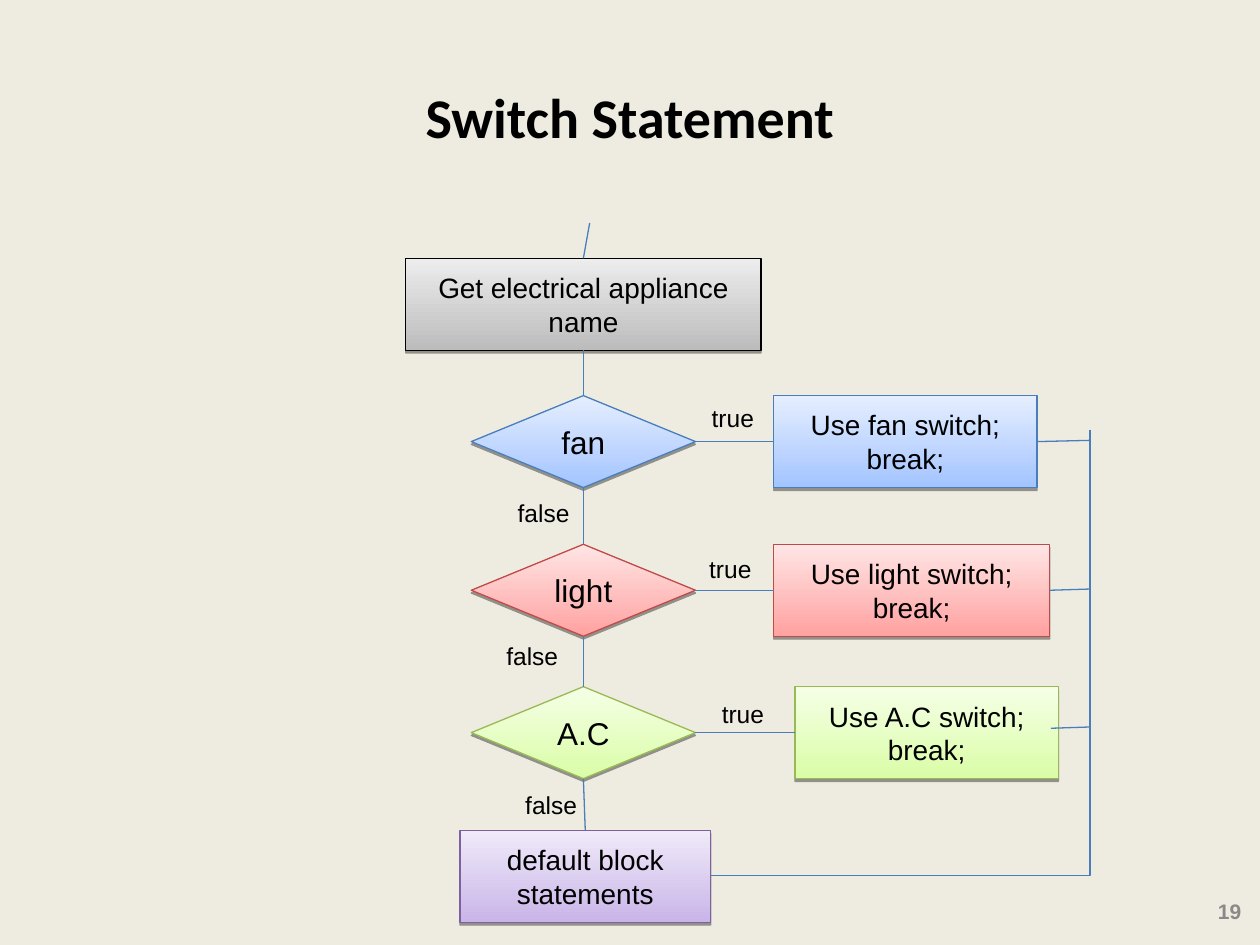
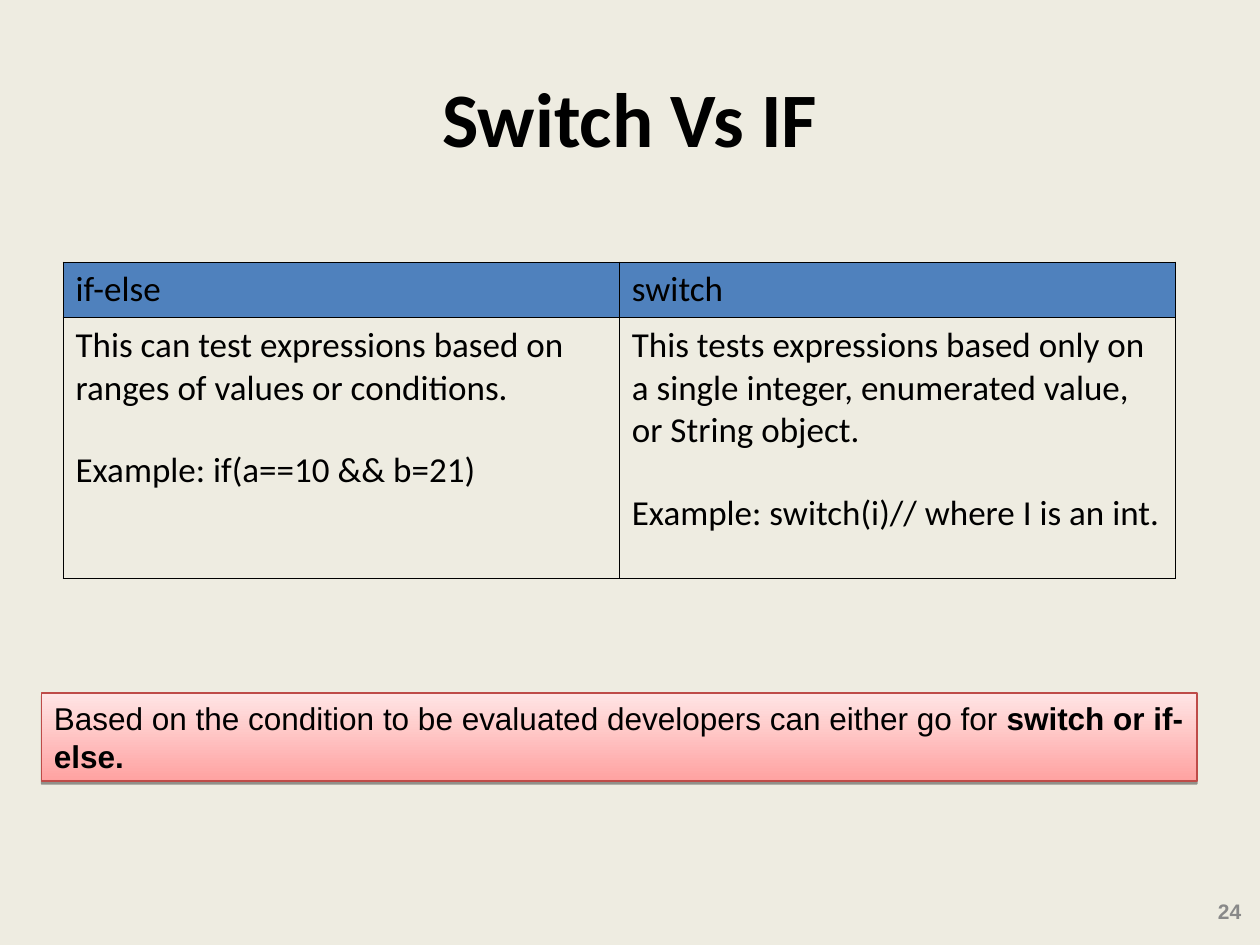
from pptx import Presentation
from pptx.util import Inches, Pt
from pptx.dml.color import RGBColor
from pptx.enum.shapes import MSO_CONNECTOR, MSO_SHAPE
from pptx.enum.text import MSO_ANCHOR, PP_ALIGN
from pptx.oxml.ns import qn
from lxml.etree import SubElement

# Colours: each tone is (gradient bottom, gradient top, outline)
PAPER = RGBColor(0xEE, 0xEC, 0xE1)
BLACK = RGBColor(0, 0, 0)
MUTED = RGBColor(0x89, 0x89, 0x89)
WIRE = RGBColor(0x4A, 0x7E, 0xBB)
HEAD = RGBColor(0x4F, 0x81, 0xBD)
GREY = (RGBColor(0xBC, 0xBC, 0xBC), RGBColor(0xED, 0xED, 0xED), BLACK)
BLUE = (RGBColor(0xA3, 0xC4, 0xFF), RGBColor(0xE5, 0xEE, 0xFF), WIRE)
RED = (RGBColor(0xFF, 0xA2, 0xA1), RGBColor(0xFF, 0xE5, 0xE5),
       RGBColor(0xBE, 0x4B, 0x48))
GREEN = (RGBColor(0xDA, 0xFD, 0xA7), RGBColor(0xF5, 0xFF, 0xE6),
         RGBColor(0x98, 0xB9, 0x54))
PLUM = (RGBColor(0xC9, 0xB5, 0xE8), RGBColor(0xF0, 0xEA, 0xF9),
        RGBColor(0x7D, 0x60, 0xA0))

# Content of the flow chart
START = "Get electrical appliance name"
LAST = "default block statements"
# test, action, tone, top, action left and width, "true" place, "false" place
CASES = [
    ("fan", "Use fan switch;", BLUE, 3.14, 6.14, 2.09, (5.55, 3.15), (4.01, 3.9)),
    ("light", "Use light switch;", RED, 4.32, 6.14, 2.19, (5.53, 4.35), (3.92, 5.04)),
    ("A.C", "Use A.C switch;", GREEN, 5.45, 6.31, 2.09, (5.63, 5.5), (4.07, 6.22)),
]
MID, TALL, WIDE = 4.63, 0.73, 1.78
RAIL, RISE, FALL, EXIT = 8.65, 3.41, 6.95, 5.64

# Content of the comparison
GRID = [
    [["if-else"], ["switch"]],
    [["This can test expressions based on ranges of values or conditions.",
      "Example: if(a==10 && b=21)"],
     ["This tests expressions based only on a single integer, "
      "enumerated value, or String object.",
      "Example: switch(i)// where I is an int."]],
]
ROWS = [0.44, 2.07]
NOTE = [("Based on the condition to be evaluated developers can either go for ", False),
        ("switch or if-else.", True)]


def write(frame, paras, size=16, font="Arial", color=BLACK, bold=False,
          align=PP_ALIGN.LEFT, gap=0):
    """Fill a frame; a paragraph is a string or a list of (text, bold)."""
    for i, para in enumerate(paras):
        p = frame.paragraphs[0] if i == 0 else frame.add_paragraph()
        p.alignment = align
        if i and gap:
            p.space_before = Pt(gap)
        for text, heavy in [(para, bold)] if isinstance(para, str) else para:
            run = p.add_run()
            run.text = text
            run.font.size, run.font.name = Pt(size), font
            run.font.bold, run.font.color.rgb = heavy, color


def label(slide, text, x, y, w, h, wrap=True, anchor=MSO_ANCHOR.TOP, **fmt):
    frame = slide.shapes.add_textbox(*map(Inches, (x, y, w, h))).text_frame
    frame.word_wrap, frame.vertical_anchor = wrap, anchor
    write(frame, [text], **fmt)


def block(slide, kind, tone, x, y, w, h, paras, anchor=MSO_ANCHOR.MIDDLE, **fmt):
    """Gradient shape with a thin outline and a hard shadow below."""
    shape = slide.shapes.add_shape(kind, *map(Inches, (x, y, w, h)))
    low, high, edge = tone
    shape.fill.gradient()
    shape.fill.gradient_angle = 90
    for stop, color in zip(shape.fill.gradient_stops, (low, high)):
        stop.color.rgb = color
    shape.line.color.rgb, shape.line.width = edge, Pt(0.75)
    shape.shadow.inherit = False
    effects = shape._element.spPr.find(qn("a:effectLst"))
    cast = SubElement(effects, qn("a:outerShdw"), blurRad="0", dist=str(Pt(1.6)),
                      dir="5400000", rotWithShape="0")
    ink = SubElement(cast, qn("a:srgbClr"), val="000000")
    SubElement(ink, qn("a:alpha"), val="38000")
    frame = shape.text_frame
    frame.word_wrap, frame.vertical_anchor = True, anchor
    write(frame, paras, **fmt)
    return shape


def wire(slide, start, end, kind=MSO_CONNECTOR.STRAIGHT):
    """Line between ends; an end is a point or a (shape, site) pair."""
    spots = [(0, 0) if hasattr(e[0], "shape_id") else tuple(map(Inches, e))
             for e in (start, end)]
    line = slide.shapes.add_connector(kind, *spots[0], *spots[1])
    if hasattr(start[0], "shape_id"):
        line.begin_connect(*start)
    if hasattr(end[0], "shape_id"):
        line.end_connect(*end)
    line.line.color.rgb, line.line.width = WIRE, Pt(0.75)
    SubElement(line._element.spPr, qn("a:effectLst"))
    return line


def page(deck, title, number, size):
    slide = deck.slides.add_slide(deck.slide_layouts[6])
    slide.background.fill.solid()
    slide.background.fill.fore_color.rgb = PAPER
    label(slide, title, 0.5, 0.3, 9, 1.25, anchor=MSO_ANCHOR.MIDDLE, size=size,
          font="Calibri", bold=True, align=PP_ALIGN.CENTER)
    label(slide, number, 9.46, 7.06, 0.49, 0.35, anchor=MSO_ANCHOR.MIDDLE, size=12,
          color=MUTED, bold=True, align=PP_ALIGN.RIGHT)
    return slide


def flow(slide):
    box, gem = MSO_SHAPE.FLOWCHART_PROCESS, MSO_SHAPE.FLOWCHART_DECISION
    mid = PP_ALIGN.CENTER
    prev = block(slide, box, GREY, 3.22, 2.05, 2.82, TALL, [START], align=mid)
    wire(slide, (4.68, 1.77), (prev, 0))

    # One row for each case
    for test, act, tone, y, x, w, yes, no in CASES:
        ask = block(slide, gem, tone, MID - WIDE / 2, y, WIDE, TALL, [test],
                    size=18, align=mid)
        job = block(slide, box, tone, x, y, w, TALL, [act, "break;"], align=mid)
        wire(slide, (prev, 2), (ask, 0))
        wire(slide, (ask, 3), (job, 1))
        # The last action meets the rail from inside its box
        out = (8.34, 5.78) if tone is GREEN else (job, 3)
        wire(slide, out, (RAIL, 5.77 if tone is GREEN else y + TALL / 2 - 0.01))
        for text, spot in (("true", yes), ("false", no)):
            label(slide, text, *spot, 0.62, 0.34, wrap=False, size=14)
        prev = ask
    end = block(slide, box, PLUM, 3.65, 6.59, 1.99, TALL, [LAST], align=mid)
    wire(slide, (prev, 2), (end, 0))

    # Rail down the right: a single bend, turned a quarter
    cx, cy = (RAIL + EXIT) / 2, (RISE + FALL) / 2
    dx, dy = (FALL - RISE) / 2, (RAIL - EXIT) / 2
    rail = wire(slide, (cx - dx, cy - dy), (cx + dx, cy + dy), MSO_CONNECTOR.ELBOW)
    props = rail._element.spPr
    props.find(qn("a:prstGeom")).set("prst", "bentConnector2")
    props.find(qn("a:xfrm")).set("rot", "5400000")


def compare(slide):
    table = slide.shapes.add_table(2, 2, Inches(0.5), Inches(2.08), Inches(8.83),
                                   Inches(sum(ROWS))).table
    table.first_row = table.horz_banding = False
    for r, row in enumerate(GRID):
        table.rows[r].height = Inches(ROWS[r])
        for c, paras in enumerate(row):
            cell = table.cell(r, c)
            props = cell._tc.get_or_add_tcPr()
            for side in ("lnL", "lnR", "lnT", "lnB"):
                edge = SubElement(props, qn("a:" + side), w=str(Pt(0.45)))
                SubElement(SubElement(edge, qn("a:solidFill")), qn("a:srgbClr"),
                           val=str(BLACK))
            if r == 0:
                cell.fill.solid()
                cell.fill.fore_color.rgb = HEAD
            else:
                cell.fill.background()
            write(cell.text_frame, paras, size=20, font="Calibri", gap=22.5)
    block(slide, MSO_SHAPE.RECTANGLE, RED, 0.33, 5.5, 9.17, 0.7, [NOTE],
          anchor=MSO_ANCHOR.TOP, size=18)


def main():
    deck = Presentation()
    deck.slide_width, deck.slide_height = Inches(10), Inches(7.5)
    flow(page(deck, "Switch Statement", "19", 32))
    compare(page(deck, "Switch Vs IF", "24", 44))
    deck.save("out.pptx")


if __name__ == "__main__":
    main()
